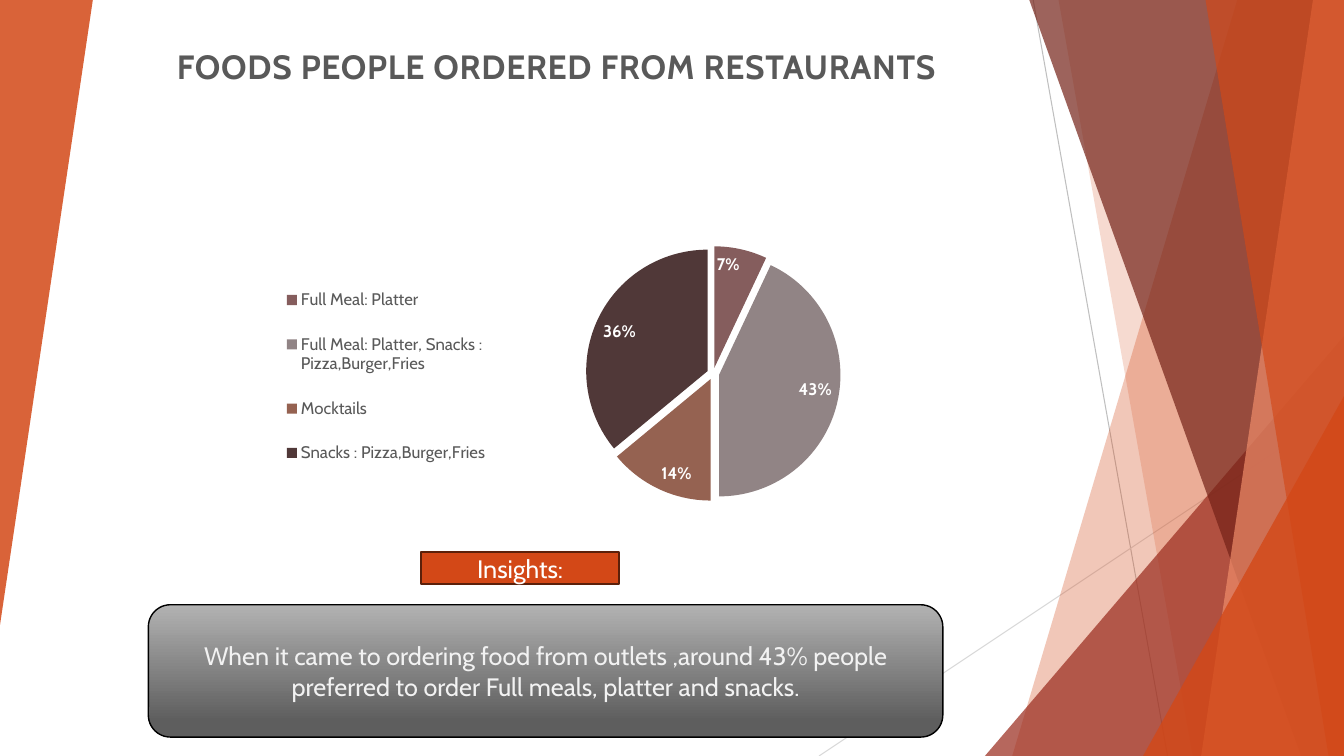
import pptx
import pptx.chart.data
import pptx.dml.color
import pptx.enum.chart
import pptx.enum.shapes
import pptx.enum.text
import pptx.oxml
import pptx.oxml.ns
import pptx.util

Pt = pptx.util.Pt
qn = pptx.oxml.ns.qn
SHAPES = pptx.enum.shapes.MSO_SHAPE
WIDTH, HEIGHT = 960, 540
ORANGE, BRICK, MAROON, PEACH = "D34817", "9B2D1F", "742217", "EF8C6A"


def color(value):
    return pptx.dml.color.RGBColor.from_string(value)


def add_element(parent, tag, **attributes):
    element = parent.makeelement(qn(tag), attributes)
    parent.append(element)
    return element


class SlideBuilder:
    font_name = "Cabin"

    def __init__(self, presentation):
        self.slide = presentation.slides.add_slide(presentation.slide_layouts[6])
        self.shapes = self.slide.shapes

    def style_font(self, font, size, value, bold=False):
        font.name = self.font_name
        font.size = Pt(size)
        font.bold = bold
        font.color.rgb = color(value)

    def set_text(self, shape, text, size, value, bold=False):
        frame = shape.text_frame
        frame.word_wrap = True
        frame.text = text
        paragraph = frame.paragraphs[0]
        paragraph.alignment = pptx.enum.text.PP_ALIGN.CENTER
        self.style_font(paragraph.font, size, value, bold)
        return frame

    def line(self, start, end, value):
        connector = self.shapes.add_connector(
            pptx.enum.shapes.MSO_CONNECTOR.STRAIGHT, *map(Pt, start + end))
        connector.line.color.rgb = color(value)
        connector.line.width = Pt(0.75)
        add_element(connector._element.spPr, "a:effectLst")

    def tint(self, shape, value, opacity):
        shape.shadow.inherit = False
        shape.fill.solid()
        shape.fill.fore_color.rgb = color(value)
        shape.line.fill.background()
        fill_color = next(shape._element.spPr.iter(qn("a:srgbClr")))
        add_element(fill_color, "a:alpha", val=str(opacity * 1000))

    def band(self, top_left, bottom_left, value, opacity):
        top = -0.72
        builder = self.shapes.build_freeform(Pt(top_left), Pt(top), scale=1.0)
        corners = [(WIDTH, top), (WIDTH, HEIGHT), (bottom_left, HEIGHT)]
        builder.add_line_segments([(Pt(x), Pt(y)) for x, y in corners], close=True)
        self.tint(builder.convert_to_shape(), value, opacity)

    def triangle(self, box, value, opacity, rotation=0):
        shape = self.shapes.add_shape(SHAPES.ISOSCELES_TRIANGLE, *map(Pt, box))
        shape.adjustments[0] = 1
        shape.rotation = rotation
        self.tint(shape, value, opacity)

    def title(self, box, text):
        shape = self.shapes.add_textbox(*map(Pt, box))
        frame = self.set_text(shape, text, 24, "595959", bold=True)
        frame.auto_size = pptx.enum.text.MSO_AUTO_SIZE.SHAPE_TO_FIT_TEXT
        frame.paragraphs[0].runs[0]._r.get_or_add_rPr().set("spc", "50")

    def panel(self, kind, box, text, text_color, fills, line_color, line_width):
        shape = self.shapes.add_shape(kind, *map(Pt, box))
        shape.shadow.inherit = False
        if len(fills) == 1:
            shape.fill.solid()
            shape.fill.fore_color.rgb = color(fills[0])
        else:
            shape.fill.gradient()
            shape.fill.gradient_angle = 270
            for stop, position, value in zip(shape.fill.gradient_stops, (0, 0.88), fills):
                stop.position = position
                stop.color.rgb = color(value)
        shape.line.color.rgb = color(line_color)
        shape.line.width = Pt(line_width)
        frame = self.set_text(shape, text, 18, text_color)
        frame.vertical_anchor = pptx.enum.text.MSO_ANCHOR.MIDDLE

    def place(self, parent, x, y, width, height, inner=False):
        for old in parent.findall(qn("c:layout")):
            parent.remove(old)
        layout = parent.makeelement(qn("c:layout"), {})
        manual = add_element(layout, "c:manualLayout")
        if inner:
            add_element(manual, "c:layoutTarget", val="inner")
        for axis in "xy":
            add_element(manual, f"c:{axis}Mode", val="edge")
        for name, value in zip("xywh", (x, y, width, height)):
            add_element(manual, f"c:{name}", val=str(value))
        if inner:
            parent.insert(0, layout)
        else:
            parent.find(qn("c:legendPos")).addnext(layout)

    def pie(self, box, slices):
        data = pptx.chart.data.CategoryChartData()
        data.categories = [name for name, share, value in slices]
        data.add_series("Series 1", [share for name, share, value in slices])
        chart = self.shapes.add_chart(
            pptx.enum.chart.XL_CHART_TYPE.PIE, *map(Pt, box), data).chart
        chart.has_title = False
        self.style_font(chart.font, 10, "000000")
        chart.has_legend = True
        chart.legend.position = pptx.enum.chart.XL_LEGEND_POSITION.RIGHT
        chart.legend.include_in_layout = False
        self.style_font(chart.legend.font, 12, "595959")
        self.place(chart.legend._element, 0.06, 0.13, 0.33, 0.8)
        plot = chart.plots[0]
        plot.vary_by_categories = True
        self.place(plot._element.getparent(), 0.51, 0.06, 0.37, 0.92, inner=True)
        series = plot.series[0]
        explosion = series._element.makeelement(qn("c:explosion"), {"val": "5"})
        series._element.find(qn("c:tx")).addnext(explosion)
        for index, (name, share, value) in enumerate(slices):
            point_fill = series.points[index].format.fill
            point_fill.solid()
            point_fill.fore_color.rgb = color(value)
        labels = series.data_labels
        labels.show_percentage = True
        labels.show_value = False
        labels.number_format = "0%"
        labels.number_format_is_linked = False
        labels.position = pptx.enum.chart.XL_LABEL_POSITION.INSIDE_END
        self.style_font(labels.font, 12, "FFFFFF", bold=True)


def main():
    presentation = pptx.Presentation()
    presentation.slide_width = Pt(WIDTH)
    presentation.slide_height = Pt(HEIGHT)
    builder = SlideBuilder(presentation)

    builder.line((738, 0), (834, HEIGHT), "BFBFBF")
    builder.line((WIDTH, 290), (585, HEIGHT), "D9D9D9")
    builder.band(884, 723, ORANGE, 30)
    builder.band(756, 852, ORANGE, 20)
    builder.triangle((703.5, 240, 256.5, 300), BRICK, 72)
    builder.band(735, 929.5, MAROON, 70)
    builder.band(938, 858, PEACH, 70)
    builder.band(861, 949, ORANGE, 65)
    builder.triangle((816.5, 283, 143.5, 257), ORANGE, 80)
    builder.triangle((0, 0, 66.3, 446.4), ORANGE, 85, rotation=180)

    builder.pie((164, 164, 497, 198), [
        ("Full Meal: Platter", 7, "855D5D"),
        ("Full Meal: Platter, Snacks : Pizza,Burger,Fries", 43, "918485"),
        ("Mocktails", 14, "956251"),
        ("Snacks : Pizza,Burger,Fries", 36, "503838"),
    ])
    builder.title((106, 29, 589, 36), "FOODS PEOPLE ORDERED FROM RESTAURANTS ")
    builder.panel(
        SHAPES.ROUNDED_RECTANGLE, (106, 432, 567.5, 94.5),
        "When it came to ordering food from outlets ,around 43% people "
        "preferred to order Full meals, platter and snacks.",
        "F2F2F2", ["B2B2B2", "5E5E5E"], "000000", 1)
    builder.panel(
        SHAPES.RECTANGLE, (301, 394.5, 141, 22.5), "Insights:",
        "FFFFFF", [ORANGE], "5C200A", 1.5)
    presentation.save("out.pptx")


if __name__ == "__main__":
    main()
